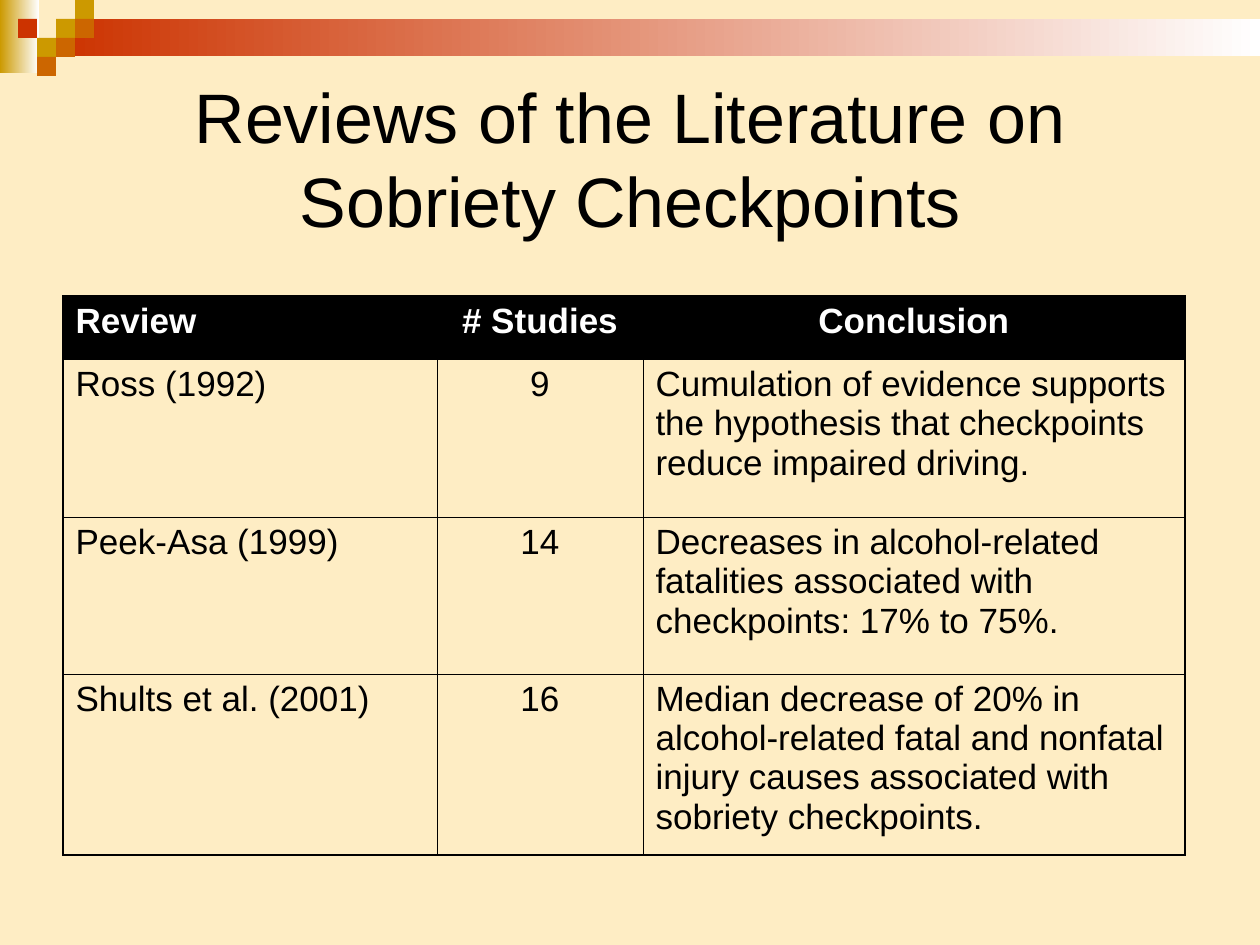
from lxml.etree import SubElement
from pptx import Presentation
from pptx.dml.color import RGBColor
from pptx.enum.shapes import MSO_SHAPE as Shape
from pptx.enum.text import MSO_ANCHOR as Anchor, PP_ALIGN as Align
from pptx.oxml.ns import qn
from pptx.util import Pt

PX = 914400 // 126
FONT = "Arial"
BLACK, WHITE, CREAM = "000000", "FFFFFF", "FEEDC4"
GOLD, ORANGE, RED = "CC9900", "CC6600", "CC3300"
THIN, THICK = 0.45, 1.08

TITLE = "Reviews of the Literature on Sobriety Checkpoints"
REVIEWS = [
    ("Review", "# Studies", "Conclusion"),
    ("Ross (1992)", "9",
     "Cumulation of evidence supports the hypothesis that checkpoints reduce impaired driving."),
    ("Peek-Asa (1999)", "14",
     "Decreases in alcohol-related fatalities associated with checkpoints: 17% to 75%."),
    ("Shults et al. (2001)", "16",
     "Median decrease of 20% in alcohol-related fatal and nonfatal injury causes "
     "associated with sobriety checkpoints."),
]
COLUMN_WIDTHS = [374, 206, 542]
ROW_HEIGHTS = [63, 158, 157, 181]


def px(length):
    return length * PX


def color(hex_string):
    return RGBColor.from_string(hex_string)


def style(paragraph, size, hex_string, align, bold=False):
    paragraph.alignment = align
    font = paragraph.runs[0].font
    font.name, font.size, font.bold = FONT, Pt(size), bold
    font.color.rgb = color(hex_string)


def add_block(slide, left, top, width, height, start, end=None):
    shape = slide.shapes.add_shape(
        Shape.RECTANGLE, px(left), px(top), px(width), px(height))
    shape.shadow.inherit = False
    shape.line.fill.background()
    if end is None:
        shape.fill.solid()
        shape.fill.fore_color.rgb = color(start)
        return
    shape.fill.gradient()
    shape.fill.gradient_angle = 0
    for stop, hex_string, position in zip(shape.fill.gradient_stops, (start, end), (0, 1)):
        stop.color.rgb = color(hex_string)
        stop.position = position


def add_banner(slide, left, top, width):
    add_block(slide, left, top, 39, 73, GOLD, WHITE)
    add_block(slide, left + 57, top + 19, width - 57, 37, RED, WHITE)
    squares = [(3, 1, GOLD), (4, 0, GOLD), (4, 1, ORANGE), (2, 2, GOLD),
               (1, 1, RED), (3, 2, ORANGE), (2, 3, ORANGE)]
    for column, row, hex_string in squares:
        add_block(slide, left + column * 19 - 1, top + row * 19, 19, 19, hex_string)


def add_title(slide, left, top, width, height):
    box = slide.shapes.add_textbox(px(left), px(top), px(width), px(height))
    text_frame = box.text_frame
    text_frame.word_wrap = True
    text_frame.vertical_anchor = Anchor.MIDDLE
    text_frame.text = TITLE
    style(text_frame.paragraphs[0], 40, BLACK, Align.CENTER)


def set_borders(cell, widths):
    properties = cell._tc.get_or_add_tcPr()
    for index, (side, width) in enumerate(zip(("lnL", "lnR", "lnT", "lnB"), widths)):
        line = properties.makeelement(qn(f"a:{side}"), {"w": str(Pt(width))})
        fill = SubElement(line, qn("a:solidFill"))
        SubElement(fill, qn("a:srgbClr"), val=BLACK)
        properties.insert(index, line)


def add_review_table(slide, left, top):
    last_row, last_column = len(ROW_HEIGHTS) - 1, len(COLUMN_WIDTHS) - 1
    frame = slide.shapes.add_table(
        len(ROW_HEIGHTS), len(COLUMN_WIDTHS), px(left), px(top),
        px(sum(COLUMN_WIDTHS)), px(sum(ROW_HEIGHTS)))
    table = frame.table
    table.horz_banding = False
    for column, width in zip(table.columns, COLUMN_WIDTHS):
        column.width = px(width)
    for r, (row, height, texts) in enumerate(zip(table.rows, ROW_HEIGHTS, REVIEWS)):
        row.height = px(height)
        header = r == 0
        for c, (cell, text) in enumerate(zip(row.cells, texts)):
            if header:
                cell.fill.solid()
                cell.fill.fore_color.rgb = color(BLACK)
            else:
                cell.fill.background()
            cell.text_frame.text = text
            centered = c == 1 or (header and c == last_column)
            style(cell.text_frame.paragraphs[0], 20, WHITE if header else BLACK,
                  Align.CENTER if centered else Align.LEFT, header)
            outer_edges = (c == 0, c == last_column, header, r == last_row)
            set_borders(cell, [THICK if outer else THIN for outer in outer_edges])


def main():
    presentation = Presentation()
    presentation.slide_width, presentation.slide_height = px(1260), px(945)
    slide = presentation.slides.add_slide(presentation.slide_layouts[6])
    slide.background.fill.solid()
    slide.background.fill.fore_color.rgb = color(CREAM)
    add_banner(slide, 0, 0, 1260)
    add_title(slide, 63, 63, 1134, 189)
    add_review_table(slide, 63, 296)
    presentation.save("out.pptx")


if __name__ == "__main__":
    main()
